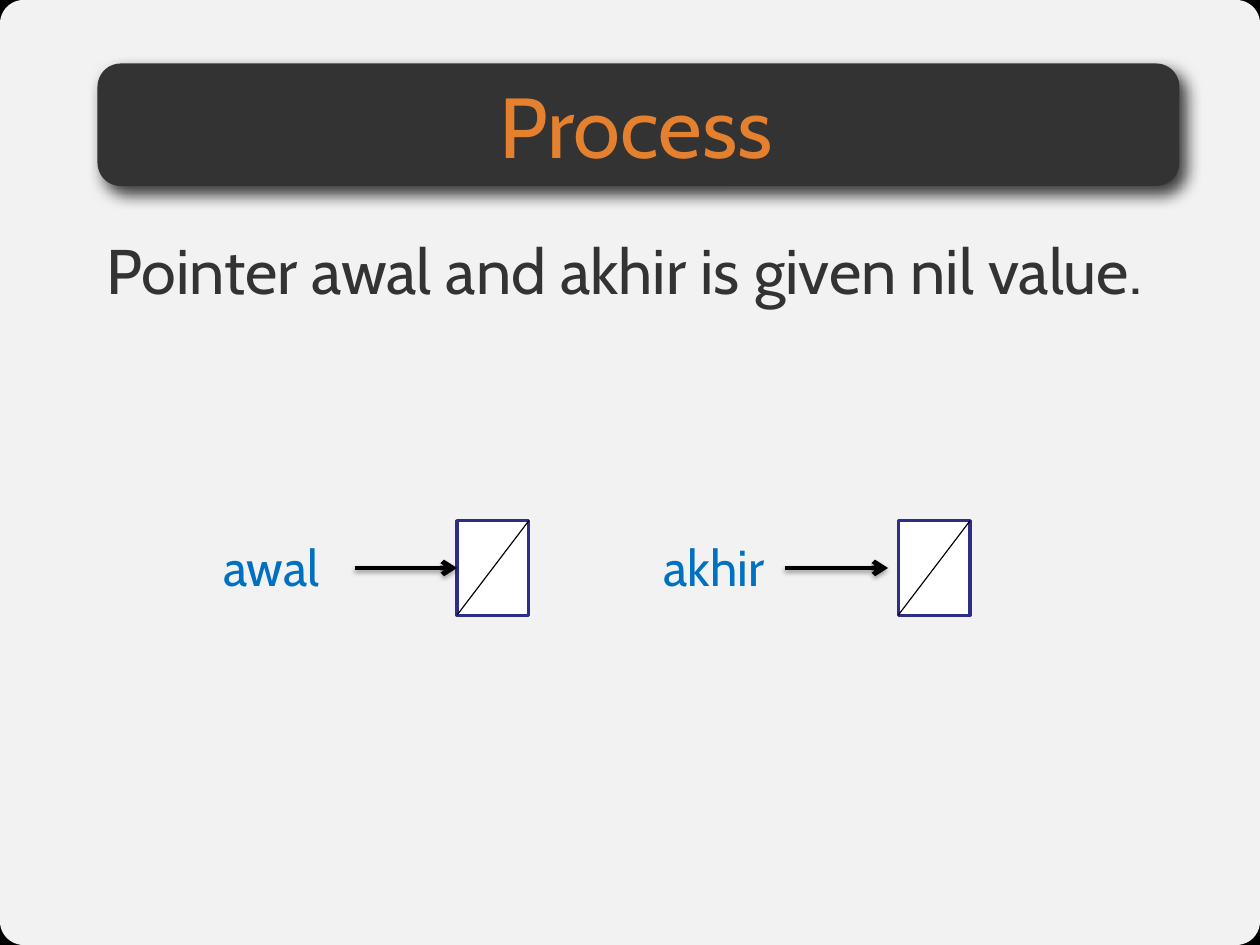
import pptx
import pptx.util
import pptx.dml.color
import pptx.enum.shapes
import pptx.enum.text
import pptx.oxml
import pptx.oxml.ns

RGB = pptx.dml.color.RGBColor
BLACK = RGB(0x00, 0x00, 0x00)
WHITE = RGB(0xFF, 0xFF, 0xFF)
DARK = RGB(0x33, 0x33, 0x33)
ORANGE = RGB(0xE5, 0x81, 0x2E)
BLUE = RGB(0x00, 0x70, 0xC0)
NAVY = RGB(0x2D, 0x2D, 0x8A)

KIND = pptx.enum.shapes.MSO_SHAPE
LINE = pptx.enum.shapes.MSO_CONNECTOR.STRAIGHT
ALIGN = pptx.enum.text.PP_ALIGN
ANCHOR = pptx.enum.text.MSO_ANCHOR
WIDE, HIGH = pptx.util.Inches(11.11), pptx.util.Inches(8.33)

# Cell size and rows, in percent of the slide
CELL_W, CELL_H = 5.7, 10
CELL_Y = 55.1
MID_Y = CELL_Y + CELL_H / 2


def col(share):
    return round(WIDE * share / 100)


def row(share):
    return round(HIGH * share / 100)


def area(x, y, w, h):
    return col(x), row(y), col(w), row(h)


def add_xml(parent, tag, body="", attrs=""):
    space = pptx.oxml.ns.nsdecls("a")
    parent.append(pptx.oxml.parse_xml(f"<a:{tag} {space} {attrs}>{body}</a:{tag}>"))


def add_glow(shape, alpha, blur, dist, angle):
    """Outer black shadow; blur and distance in points."""
    blur, dist = pptx.util.Pt(blur), pptx.util.Pt(dist)
    body = (f'<a:outerShdw blurRad="{blur}" dist="{dist}" dir="{angle * 60000}" '
            f'algn="tl" rotWithShape="0"><a:srgbClr val="{BLACK}">'
            f'<a:alpha val="{alpha * 1000}"/></a:srgbClr></a:outerShdw>')
    add_xml(shape._element.spPr, "effectLst", body)


def add_box(shapes, kind, place, fill, edge=None, curve=None):
    box = shapes.add_shape(kind, *place)
    box.fill.solid()
    box.fill.fore_color.rgb = fill
    if curve is not None:
        box.adjustments[0] = curve
    if edge is None:
        box.line.fill.background()
    else:
        box.line.color.rgb = edge
        box.line.width = pptx.util.Pt(2)
    return box


def add_line(shapes, start, end, width):
    line = shapes.add_connector(LINE, col(start[0]), row(start[1]),
                                col(end[0]), row(end[1]))
    line.line.color.rgb = BLACK
    line.line.width = pptx.util.Pt(width)
    return line


def add_text(shapes, place, text, size, color, inset=True):
    box = shapes.add_textbox(*place)
    frame = box.text_frame
    frame.word_wrap = True
    if not inset:
        frame.margin_left = frame.margin_right = 0
        frame.margin_top = frame.margin_bottom = 0
    frame.text = text
    font = frame.paragraphs[0].runs[0].font
    font.name, font.size = "Cabin", pptx.util.Pt(size)
    font.color.rgb = color
    return frame


def add_nil(shapes, x):
    """Cell crossed by a diagonal, meaning nil."""
    group = shapes.add_group_shape().shapes
    cell = add_box(group, KIND.RECTANGLE, area(x, CELL_Y, CELL_W, CELL_H), WHITE, NAVY)
    cell.shadow.inherit = False
    slash = add_line(group, (x + CELL_W, CELL_Y), (x, CELL_Y + CELL_H), 0.75)
    add_xml(slash._element.spPr, "effectLst")
    return cell


def add_point(shapes, name, left, start, end, cell_x):
    """Named pointer with its arrow and nil cell."""
    cell = add_nil(shapes, cell_x)
    label = add_text(shapes, area(left, 56.18, 11.34, 7.68), name, 32, BLUE)
    label.auto_size = pptx.enum.text.MSO_AUTO_SIZE.SHAPE_TO_FIT_TEXT
    arrow = add_line(shapes, (start, MID_Y), (end, MID_Y), 3)
    if end == cell_x:
        arrow.end_connect(cell, 1)
    props = arrow._element.spPr
    add_xml(props.find(pptx.oxml.ns.qn("a:ln")), "tailEnd", attrs='type="arrow"')
    add_glow(arrow, 35, 3.1, 1.8, 90)


def main():
    deck = pptx.Presentation()
    deck.slide_width, deck.slide_height = WIDE, HIGH
    slide = deck.slides.add_slide(deck.slide_layouts[6])
    shapes = slide.shapes

    # Black backdrop and translucent panel
    slide.background.fill.solid()
    slide.background.fill.fore_color.rgb = BLACK
    panel = add_box(shapes, KIND.ROUNDED_RECTANGLE, area(0, 0, 100, 100), WHITE, curve=0.025)
    panel.shadow.inherit = False
    tint = panel._element.spPr.find(".//" + pptx.oxml.ns.qn("a:srgbClr"))
    add_xml(tint, "alpha", attrs='val="95000"')

    # Title bar
    bar = add_box(shapes, KIND.ROUNDED_RECTANGLE, area(7.74, 6.72, 85.87, 12.97), DARK, curve=0.19)
    add_glow(bar, 75, 10, 6, 51)
    title = add_text(shapes, area(7.74, 7.2, 85.5, 12), "Process", 54, ORANGE, inset=False)
    title.vertical_anchor = ANCHOR.MIDDLE
    title.paragraphs[0].alignment = ALIGN.CENTER

    # Statement
    add_text(shapes, area(8.46, 24.49, 84.43, 16.09),
             "Pointer awal and akhir is given nil value.", 40, DARK, inset=False)

    # Pointers
    add_point(shapes, "awal", 16.83, 28.17, 36.27, 36.27)
    add_point(shapes, "akhir", 51.76, 62.29, 70.48, 71.29)

    deck.save("out.pptx")


if __name__ == "__main__":
    main()
